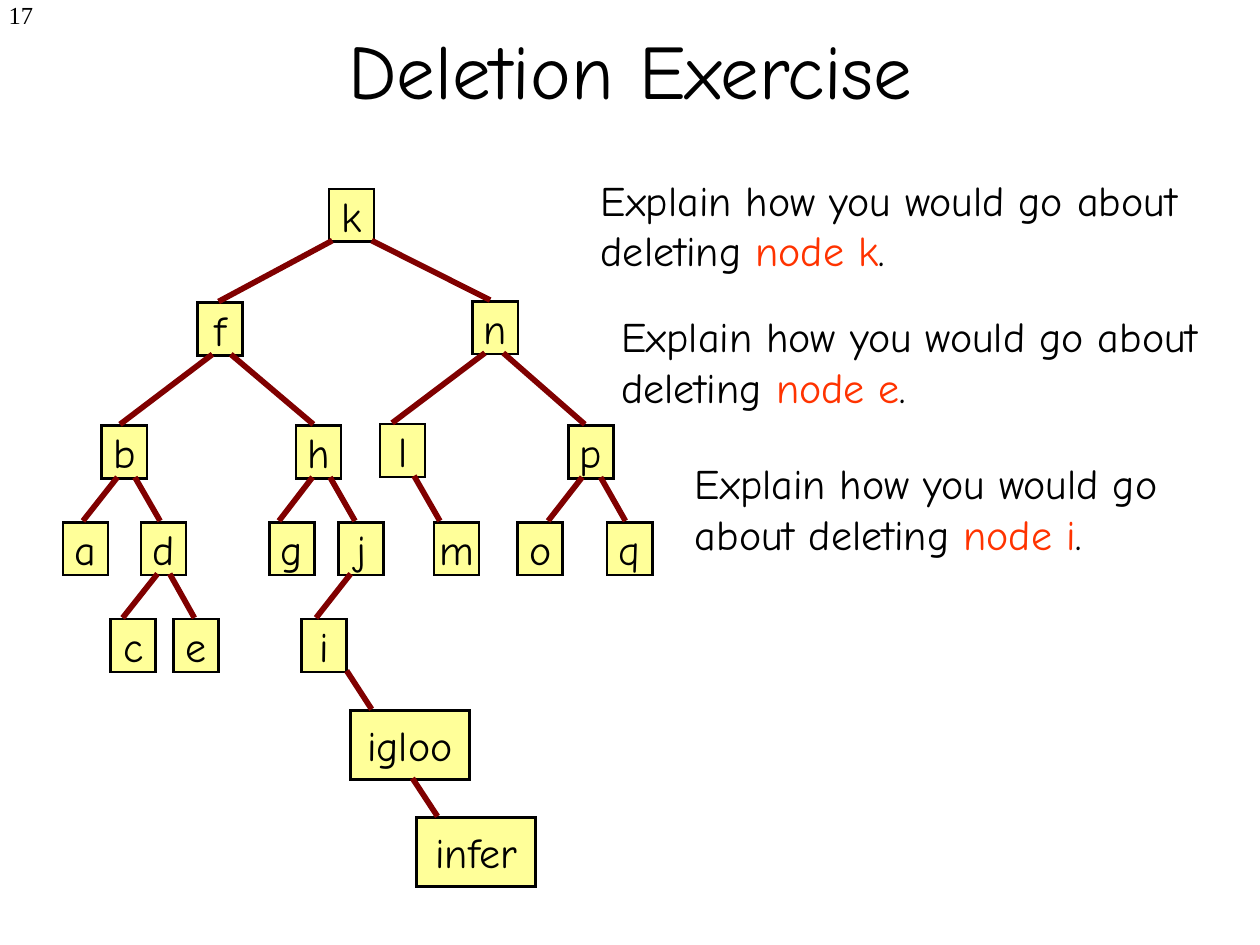
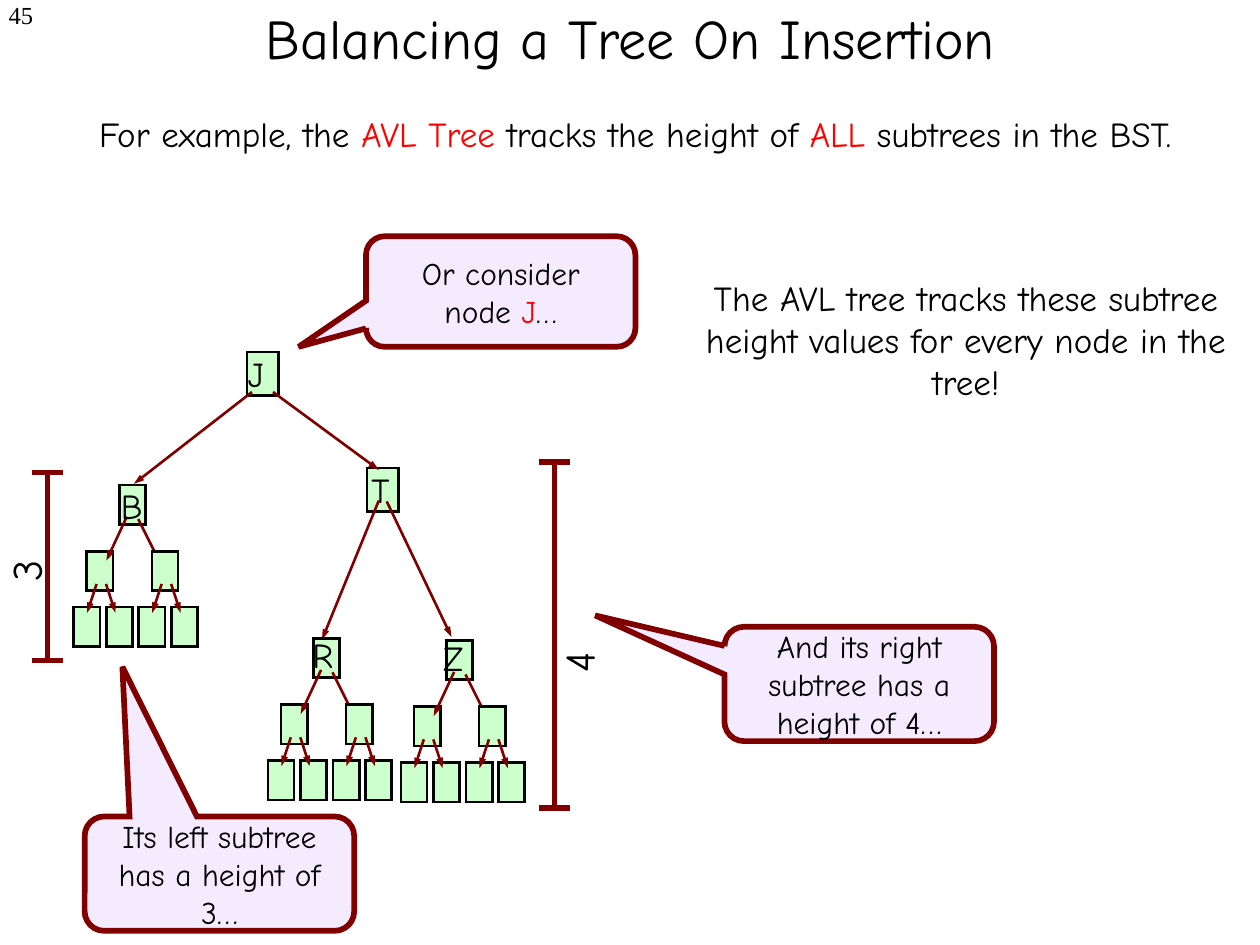
import pptx
import pptx.dml.color
import pptx.enum.shapes
import pptx.enum.text
import pptx.oxml
import pptx.oxml.ns
import pptx.util

Pt = pptx.util.Pt
SHAPES = pptx.enum.shapes.MSO_SHAPE
ALIGN = pptx.enum.text.PP_ALIGN
ANCHOR = pptx.enum.text.MSO_ANCHOR

COLORS = {
    "ink": "000000", "edge": "800000", "yellow": "FFFF99", "green": "CCFFCC",
    "lilac": "F5EBFF", "orange": "FF3300", "red": "FF0000",
}
FONT = "Comic Neue"
NUMBER_FONT = "Times New Roman"
SLIDE_SIZE = (720, 540)
THIN, THICK = 1.5, 3.25

# Deletion exercise: label -> left, top
LETTER_SIZE = (25.8, 30.2)
WORD_SIZE = (68, 39.4)
DELETION_NODES = {
    "k": (188, 108), "f": (113, 173), "n": (270.2, 172.2),
    "b": (58.2, 243.2), "h": (169.2, 243.2), "l": (217.2, 242.4), "p": (324.8, 243.2),
    "a": (36, 298.4), "d": (80.6, 298.4), "g": (154, 298.4), "j": (193.5, 298.4),
    "m": (248, 298.4), "o": (295.8, 298.4), "q": (347, 298.4),
    "c": (63.2, 353.8), "e": (99.2, 353.8), "i": (172.2, 353.8),
    "igloo": (200.2, 406), "infer": (238, 467.2),
}
# parent, child, then how far each end lies from the middle of its node
DELETION_EDGES = [
    ("k", "f", -11, -1), ("k", "n", 11.5, -3), ("f", "b", -4.5, -2.5),
    ("f", "h", 6, -3), ("b", "a", -4, -1.5), ("b", "d", 6, -2),
    ("d", "c", -3.5, -6), ("d", "e", 3.5, -1), ("h", "g", -3.5, -7.5),
    ("h", "j", 6.5, -3.5), ("j", "i", -6, -4.5), ("n", "l", -6, -6),
    ("n", "p", 4.5, -3.5), ("l", "m", 6.5, -9.5), ("p", "o", -5, 4.5),
    ("p", "q", 5.5, -2.5), ("i", "igloo", 13, -21.8), ("igloo", "infer", 1.5, -22),
]
EDGE_OVERLAP = 0.7
# node to delete, left, top, width
QUESTIONS = [("k", 336.2, 96, 383), ("e", 348, 174, 372), ("i", 390, 258, 306)]

# Balancing: box left, top, width, height
BIG_NODES = [(209.8, 267.4, 18, 25), (141.2, 201.2, 18, 24.8)]
BIG_ARROWS = [
    ((216.5, 286), (184, 365.5)), ((221, 286.5), (258, 364)),
    ((144, 224), (76.5, 276.5)), ((156, 224), (216.5, 268.5)),
]
SUBTREE_ROOTS = [(68.2, 277.2), (179.2, 364.8), (255.2, 366)]
SMALL_NODE = (15, 22.5)
CHILD_DX, CHILD_DY = 18.6, 37.8
LEAF_DXS, LEAF_DY = (-7.5, 11.1), 32
LEFT_ROOT_ARROW = ((4.3, 18), (-7.4, 43.2))
RIGHT_ROOT_ARROW = ((10.8, 19.4), (23, 43.8))
LEAF_ARROWS = [((5.6, 18.7), (0.2, 35.2)), ((11, 18.7), (16.4, 35.2))]
NODE_LABELS = [("J", 134.6, 198), ("B", 62, 273.6), ("T", 205.2, 264.2),
               ("R", 171.4, 358.6), ("Z", 246.2, 360)]
# middle, top, bottom, height value, centre of the value
HEIGHT_BARS = [(27.2, 270, 377.4, "3", (14.5, 326)), (316.8, 264, 461.8, "4", (330.4, 378.4))]
BAR_CAP = 18
CALLOUTS = [
    ([("Or consider node ", "ink"), ("J", "red"), ("…", "ink")],
     (209.1, 135, 154, 63.2), (-0.75, 0.5, 0.17)),
    ([("Its left subtree has a height of 3…", "ink")],
     (48.4, 466.6, 154, 65.3), (-0.36, -1.81, 0.17)),
    ([("And its right subtree has a height of 4…", "ink")],
     (414, 358.2, 154, 65.3), (-0.98, -0.6, 0.17)),
]
AVL_INTRO = [("For example, the ", "ink"), ("AVL Tree", "red"),
             (" tracks the height of ", "ink"), ("ALL", "red"),
             (" subtrees in the BST.", "ink")]
AVL_SUMMARY = [("The AVL tree tracks these subtree height values "
                "for every node in the tree!", "ink")]


def rgb(name):
    return pptx.dml.color.RGBColor.from_string(COLORS[name])


def points(values):
    return [Pt(value) for value in values]


def append_drawing(parent, tag, attributes=""):
    """Append an empty DrawingML element to an XML parent."""
    namespace = pptx.oxml.ns.nsdecls("a")
    parent.append(pptx.oxml.parse_xml(f"<a:{tag} {namespace} {attributes}/>"))


def write(shape, runs, size, align=ALIGN.LEFT, font=FONT, **frame_format):
    """Fill the shape with one paragraph of (text, colour) runs."""
    frame = shape.text_frame
    for name, value in {"word_wrap": True, **frame_format}.items():
        setattr(frame, name, value)
    paragraph = frame.paragraphs[0]
    paragraph.alignment = align
    for text, color in runs:
        run = paragraph.add_run()
        run.text = text
        for name, value in {"name": font, "size": Pt(size)}.items():
            setattr(run.font, name, value)
        run.font.color.rgb = rgb(color)


def add_text(slide, box, runs, size, **text_format):
    shape = slide.shapes.add_textbox(*points(box))
    write(shape, runs, size, **text_format)
    return shape


def add_box(slide, box, fill, kind=SHAPES.RECTANGLE, line="ink", width=THIN):
    shape = slide.shapes.add_shape(kind, *points(box))
    shape.shadow.inherit = False
    shape.fill.solid()
    shape.fill.fore_color.rgb = rgb(fill)
    shape.line.color.rgb = rgb(line)
    shape.line.width = Pt(width)
    append_drawing(shape.line._get_or_add_ln(), "miter", 'lim="800000"')
    return shape


def add_line(slide, start, end, width=THICK, arrow=False):
    connector = slide.shapes.add_connector(
        pptx.enum.shapes.MSO_CONNECTOR.STRAIGHT, *points((*start, *end)))
    connector.line.color.rgb = rgb("edge")
    connector.line.width = Pt(width)
    if arrow:
        append_drawing(connector.line._get_or_add_ln(), "tailEnd",
                       'type="triangle" w="sm" len="med"')
    append_drawing(connector._element.spPr, "effectLst")


def add_arrows(slide, arrows, left=0, top=0):
    for start, end in arrows:
        add_line(slide, (left + start[0], top + start[1]),
                 (left + end[0], top + end[1]), THIN, arrow=True)


def add_titled_slide(presentation, number, title, size, middle):
    """Start a slide with its number and a title centred on the given height."""
    slide = presentation.slides.add_slide(presentation.slide_layouts[6])
    add_text(slide, (0, 0, 26, 30), [(number, "ink")], 14, align=ALIGN.RIGHT,
             font=NUMBER_FONT, margin_left=0, margin_top=0)
    add_text(slide, (54.4, 0, 612, 2 * middle), [(title, "ink")], size,
             align=ALIGN.CENTER, vertical_anchor=ANCHOR.MIDDLE,
             margin_top=0, margin_bottom=0)
    return slide


def add_deletion_slide(presentation):
    slide = add_titled_slide(presentation, "17", "Deletion Exercise", 44, 39)
    boxes = {label: (*corner, *(LETTER_SIZE if len(label) == 1 else WORD_SIZE))
             for label, corner in DELETION_NODES.items()}
    for label, box in boxes.items():
        write(add_box(slide, box, "yellow"), [(label, "ink")], 24, align=ALIGN.CENTER,
              vertical_anchor=ANCHOR.MIDDLE, word_wrap=False)
    for parent, child, start_dx, end_dx in DELETION_EDGES:
        left, top, width, height = boxes[parent]
        child_left, child_top, child_width, _ = boxes[child]
        add_line(slide, (left + width / 2 + start_dx, top + height - EDGE_OVERLAP),
                 (child_left + child_width / 2 + end_dx, child_top - EDGE_OVERLAP))
    for node, left, top, width in QUESTIONS:
        add_text(slide, (left, top, width, 65.4),
                 [("Explain how you would go about deleting ", "ink"),
                  (f"node {node}", "orange"), (".", "ink")], 24)


def add_subtree(slide, left, top):
    """Draw a three-level tree whose root box has this corner."""
    add_box(slide, (left, top, *SMALL_NODE), "green")
    add_arrows(slide, [RIGHT_ROOT_ARROW], left, top)
    for child_left in (left - CHILD_DX, left + CHILD_DX):
        child_top = top + CHILD_DY
        add_box(slide, (child_left, child_top, *SMALL_NODE), "green")
        for leaf_dx in LEAF_DXS:
            add_box(slide, (child_left + leaf_dx, child_top + LEAF_DY, *SMALL_NODE), "green")
        add_arrows(slide, LEAF_ARROWS, child_left, child_top)
    add_arrows(slide, [LEFT_ROOT_ARROW], left, top)


def add_height_bar(slide, middle, top, bottom, value, center):
    add_line(slide, (middle, top), (middle, bottom))
    for cap in (top, bottom):
        add_line(slide, (middle - BAR_CAP / 2, cap), (middle + BAR_CAP / 2, cap))
    width, height = 28, 29
    label = add_text(slide, (center[0] - width / 2, center[1] - height / 2, width, height),
                     [(value, "ink")], 24, align=ALIGN.CENTER,
                     vertical_anchor=ANCHOR.MIDDLE, margin_left=0, margin_right=0,
                     margin_top=0, margin_bottom=0)
    label.rotation = 270


def add_balancing_slide(presentation):
    slide = add_titled_slide(presentation, "45", "Balancing a Tree On Insertion", 32, 21.2)
    for box in BIG_NODES:
        add_box(slide, box, "green")
    add_arrows(slide, BIG_ARROWS)
    for corner in SUBTREE_ROOTS:
        add_subtree(slide, *corner)
    for label, left, top in NODE_LABELS:
        add_text(slide, (left, top, 28, 31), [(label, "ink")], 20, word_wrap=False)
    add_text(slide, (6, 60.8, 714, 31.6), AVL_INTRO, 20, align=ALIGN.CENTER)
    for bar in HEIGHT_BARS:
        add_height_bar(slide, *bar)
    for runs, box, adjustments in CALLOUTS:
        callout = add_box(slide, box, "lilac", SHAPES.ROUNDED_RECTANGULAR_CALLOUT,
                          "edge", THICK)
        for index, value in enumerate(adjustments):
            callout.adjustments[index] = value
        write(callout, runs, 18, align=ALIGN.CENTER, vertical_anchor=ANCHOR.MIDDLE)
    add_text(slide, (396, 154.4, 312, 80), AVL_SUMMARY, 20, align=ALIGN.CENTER)


def main():
    presentation = pptx.Presentation()
    presentation.slide_width, presentation.slide_height = points(SLIDE_SIZE)
    add_deletion_slide(presentation)
    add_balancing_slide(presentation)
    presentation.save("out.pptx")


if __name__ == "__main__":
    main()
